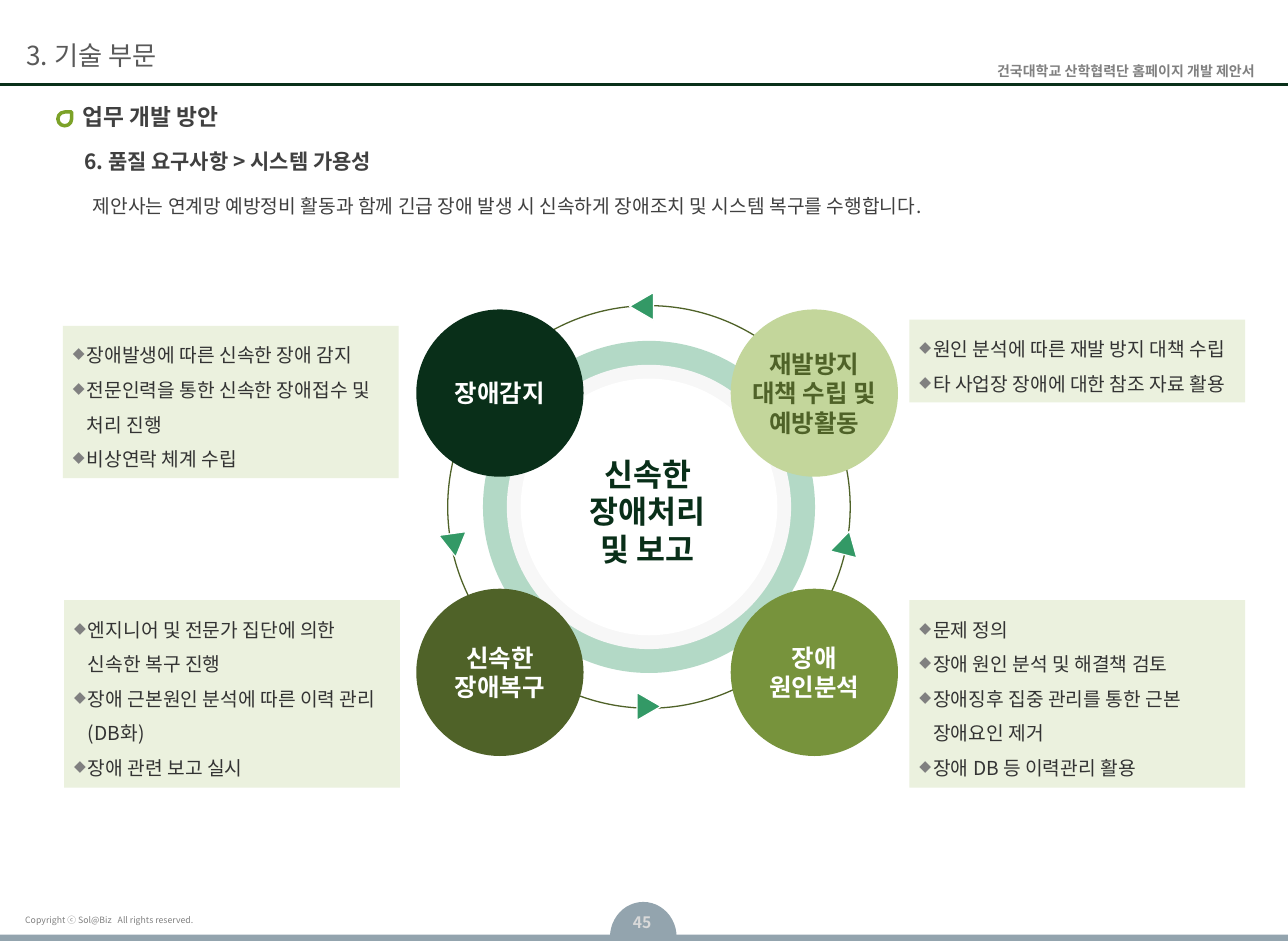
"""Build the system availability slide with its incident handling cycle."""
from typing import NamedTuple

from lxml.etree import SubElement as Sub
from pptx import Presentation
from pptx.dml.color import RGBColor
from pptx.enum.shapes import MSO_CONNECTOR as Conn, MSO_SHAPE as Kind
from pptx.enum.text import MSO_ANCHOR as Anchor, PP_ALIGN as Align
from pptx.oxml.ns import qn
from pptx.shapes.autoshape import Shape
from pptx.slide import Slide
from pptx.util import Pt

PX = 9144
WIDE, HIGH = 1024, 748
FONT = "Noto Sans CJK KR"
LEFT, RIGHT, MID = Align.LEFT, Align.RIGHT, Align.CENTER
TOP, CORE = Anchor.TOP, Anchor.MIDDLE


class Box(NamedTuple):
    """Place and size in px."""
    x: int
    y: int
    w: int
    h: int


class Style(NamedTuple):
    """Look of a text."""
    size: float
    color: str
    bold: bool = False
    align: Align = LEFT
    anchor: Anchor = TOP
    font: str = FONT
    space: float = 1.0


class Label(NamedTuple):
    """A free text with its left, top, right and bottom insets."""
    box: Box
    text: str
    style: Style
    pad: tuple[int, int, int, int] = (0, 0, 0, 0)


class Node(NamedTuple):
    """A circle on the cycle."""
    x: int
    y: int
    text: str
    fill: str
    color: str = "FFFFFF"


class Arrow(NamedTuple):
    """A triangle on the cycle."""
    x: int
    y: int
    turn: float


class Panel(NamedTuple):
    """A bulleted list on a pale ground."""
    x: int
    y: int
    h: int
    text: str


LABELS = [
    Label(Box(12, 723, 261, 18), "Copyright ⓒ Sol@Biz   All rights reserved.",
          Style(5, "808080"), (8, 4, 8, 4)),
    Label(Box(485, 721, 51, 37), "45", Style(9, "D9D9D9", True, MID), (9, 5, 9, 5)),
    Label(Box(747, 45, 260, 23), "건국대학교 산학협력단 홈페이지 개발 제안서",
          Style(8, "808080", True, RIGHT, font="Arial"), (9, 5, 9, 5)),
    Label(Box(21, 22, 608, 44), "3. 기술 부문", Style(15, "595959", anchor=CORE)),
    Label(Box(66, 82, 956, 22), "업무 개발 방안", Style(13, "404040", True)),
    Label(Box(67, 118, 507, 20), "6. 품질 요구사항 > 시스템 가용성",
          Style(12, "404040", True)),
    Label(Box(64, 146, 926, 77),
          "제안사는 연계망 예방정비 활동과 함께 긴급 장애 발생 시 신속하게 "
          "장애조치 및 시스템 복구를 수행합니다.",
          Style(11, "404040", align=Align.JUSTIFY, space=1.2), (10, 5, 10, 5)),
]
HUB = Label(Box(408, 361, 214, 91), "신속한\n장애처리\n및 보고",
            Style(18, "092F19", True, MID, CORE))
RINGS = [(264, "339966", 37), (226, "F7F7F7", 100), (204, "FFFFFF", 100)]
NODES = [
    Node(331, 246, "장애감지", "092F19"),
    Node(581, 246, "재발방지\n대책 수립 및\n예방활동", "C3D69B", "4F6228"),
    Node(331, 468, "신속한\n장애복구", "4F6228"),
    Node(581, 468, "장애\n원인분석", "77933C"),
]
ARROWS = [Arrow(499, 234, 270), Arrow(350, 424, 172),
          Arrow(662, 422, 14.5), Arrow(505, 552, 90)]
PANELS = [
    Panel(50, 259, 121, "장애발생에 따른 신속한 장애 감지\n"
          "전문인력을 통한 신속한 장애접수 및 처리 진행\n비상연락 체계 수립"),
    Panel(723, 254, 66, "원인 분석에 따른 재발 방지 대책 수립\n"
          "타 사업장 장애에 대한 참조 자료 활용"),
    Panel(51, 477, 149, "엔지니어 및 전문가 집단에 의한 신속한 복구 진행\n"
          "장애 근본원인 분석에 따른 이력 관리 (DB화)\n장애 관련 보고 실시"),
    Panel(723, 477, 149, "문제 정의\n장애 원인 분석 및 해결책 검토\n"
          "장애징후 집중 관리를 통한 근본 장애요인 제거\n장애 DB 등 이력관리 활용"),
]


def rgb(code: str) -> RGBColor:
    """Turn a hex string into a colour."""
    return RGBColor.from_string(code)


def emu(*vals: int) -> list[int]:
    """Scale px to EMU."""
    return [val * PX for val in vals]


def draw(slide: Slide, kind: Kind, box: Box, fill: str, line: str = "",
         width: float = 0.75, alpha: int = 100) -> Shape:
    """Add a flat shape."""
    shape = slide.shapes.add_shape(kind, *emu(*box))
    shape.shadow.inherit = False
    shape.fill.solid()
    shape.fill.fore_color.rgb = rgb(fill)
    if alpha < 100:
        tint = shape.fill._xPr.find(".//" + qn("a:srgbClr"))
        Sub(tint, qn("a:alpha"), val=str(alpha * 1000))
    if line:
        shape.line.color.rgb = rgb(line)
        shape.line.width = Pt(width)
    else:
        shape.line.fill.background()
    return shape


def bullet(para) -> None:
    """Give a paragraph a grey diamond and a hanging indent."""
    props = para._p.get_or_add_pPr()
    props.set("marL", str(11 * PX))
    props.set("indent", str(-11 * PX))
    Sub(Sub(props, qn("a:buClr")), qn("a:srgbClr"), val="808080")
    Sub(props, qn("a:buSzPct"), val="80000")
    Sub(props, qn("a:buChar"), char="◆")


def write(shape: Shape, text: str, style: Style, pad: tuple[int, ...] = (0, 0, 0, 0),
          marks: bool = False, wrap: bool = True) -> None:
    """Fill a shape with styled text."""
    frame = shape.text_frame
    frame.text = text
    frame.word_wrap = wrap
    frame.vertical_anchor = style.anchor
    (frame.margin_left, frame.margin_top,
     frame.margin_right, frame.margin_bottom) = emu(*pad)
    for para in frame.paragraphs:
        if marks:
            bullet(para)
        para.alignment = style.align
        para.line_spacing = style.space
        for run in para.runs:
            font = run.font
            font.size, font.bold, font.name = Pt(style.size), style.bold, style.font
            font.color.rgb = rgb(style.color)
            Sub(run._r.get_or_add_rPr(), qn("a:ea"), typeface=FONT)


def label(slide: Slide, item: Label) -> None:
    """Add a free text."""
    shape = slide.shapes.add_textbox(*emu(*item.box))
    write(shape, item.text, item.style, item.pad)


def frame(slide: Slide) -> None:
    """Draw the header, the footer and the headings."""
    tab = draw(slide, Kind.CHORD, Box(485, 717, 53, 56), "93A4AE")
    tab.adjustments[0], tab.adjustments[1] = 108.41, 214.66
    draw(slide, Kind.RECTANGLE, Box(0, 743, WIDE, 5), "93A4AE")
    rule = slide.shapes.add_connector(Conn.STRAIGHT, *emu(0, 67, WIDE, 67))
    rule.line.color.rgb = rgb("093019")
    rule.line.width = Pt(1.5)
    Sub(rule._element.spPr, qn("a:effectLst"))
    draw(slide, Kind.TEAR, Box(46, 89, 11, 11), "FFFFFF", "7CA228", 2)
    for item in LABELS:
        label(slide, item)


def disc(size: int) -> Box:
    """Centre a circle on the hub."""
    return Box(516 - size // 2, 403 - size // 2, size, size)


def cycle(slide: Slide) -> None:
    """Draw the rings, the circles and the arrows."""
    draw(slide, Kind.OVAL, disc(320), "FFFFFF", "4F6228")
    for size, fill, alpha in RINGS:
        draw(slide, Kind.OVAL, disc(size), fill, alpha=alpha)
    label(slide, HUB)
    for node in NODES:
        shape = draw(slide, Kind.OVAL, Box(node.x, node.y, 133, 133), node.fill)
        write(shape, node.text, Style(14, node.color, True, MID, CORE), wrap=False)
    for arrow in ARROWS:
        box = Box(arrow.x, arrow.y, 22, 19)
        draw(slide, Kind.ISOSCELES_TRIANGLE, box, "339966", "FFFFFF").rotation = arrow.turn


def main() -> None:
    """Build and save the slide."""
    deck = Presentation()
    deck.slide_width, deck.slide_height = emu(WIDE, HIGH)
    slide = deck.slides.add_slide(deck.slide_layouts[6])
    frame(slide)
    cycle(slide)
    for panel in PANELS:
        shape = draw(slide, Kind.RECTANGLE, Box(panel.x, panel.y, 267, panel.h), "EBF1DE")
        write(shape, panel.text, Style(11, "333333", space=1.5), (8, 5, 8, 5), marks=True)
    deck.save("out.pptx")


if __name__ == "__main__":
    main()
